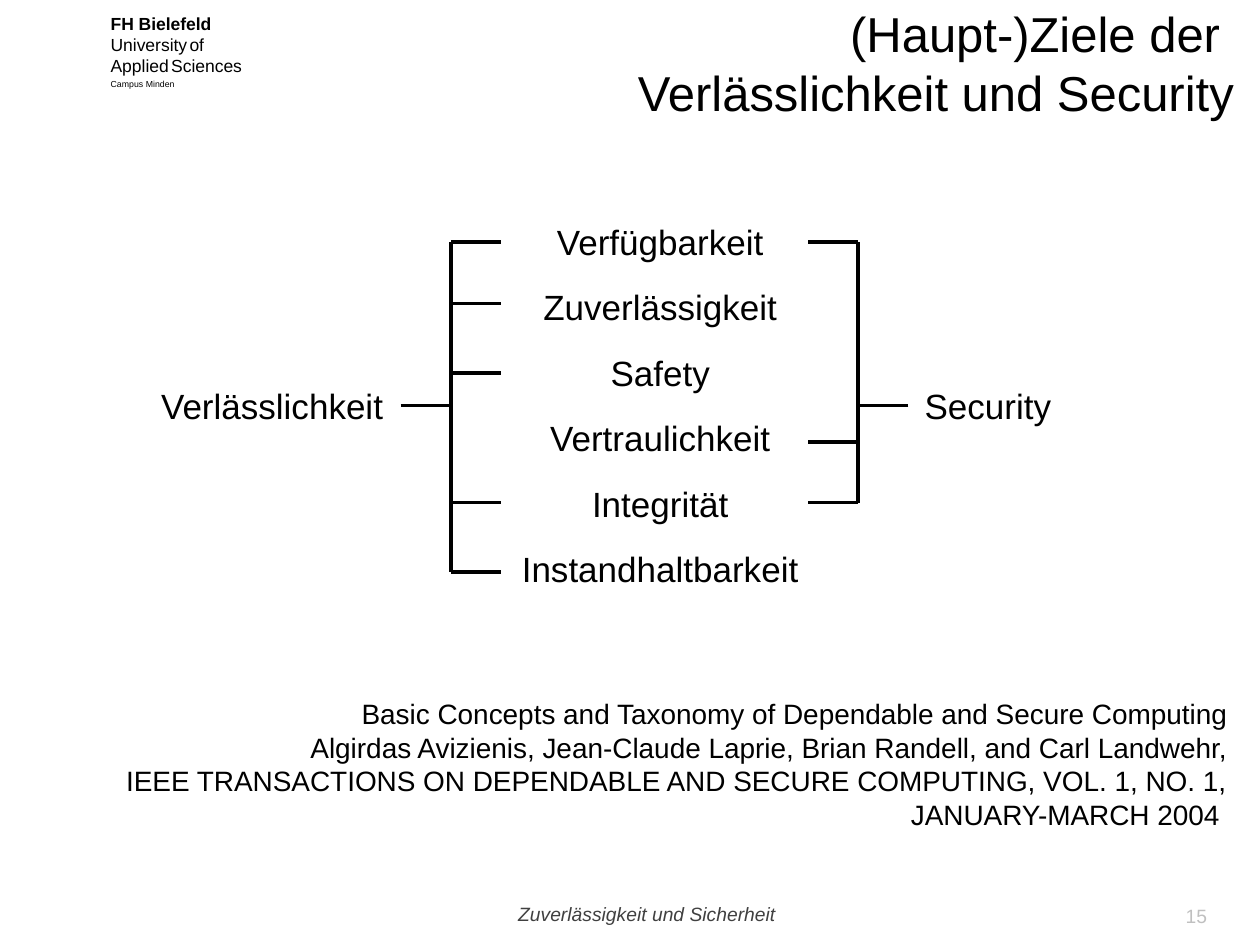
from lxml.etree import SubElement
from pptx import Presentation
from pptx.dml.color import RGBColor
from pptx.enum.shapes import MSO_CONNECTOR
from pptx.enum.text import MSO_ANCHOR, PP_ALIGN
from pptx.oxml.ns import qn
from pptx.util import Inches, Pt

BLACK = RGBColor(0x00, 0x00, 0x00)
DARK_GREY = RGBColor(0x40, 0x40, 0x40)
LIGHT_GREY = RGBColor(0xC0, 0xC0, 0xC0)
FONT = "Arial"

TITLE = "(Haupt-)Ziele der \nVerlässlichkeit und Security"
# A paragraph is a string or a list of (text, size, bold) runs.
HEADER = [
    [("FH Bielefeld", 10, True), ("\nUniversity", 10, False), (" ", 5, False),
     ("of\nApplied", 10, False), (" ", 5, False), ("Sciences", 10, False)],
    [("Campus Minden", 5, False)],
]
FOOTER = "Zuverlässigkeit und Sicherheit"
PAGE_NUMBER = "15"
REFERENCE = [
    "Basic Concepts and Taxonomy of Dependable and Secure Computing",
    "Algirdas Avizienis, Jean-Claude Laprie, Brian Randell, and Carl Landwehr,\n"
    "IEEE TRANSACTIONS ON DEPENDABLE AND SECURE COMPUTING, "
    "VOL. 1, NO. 1, JANUARY-MARCH 2004 ",
]
GOALS = ["Verfügbarkeit", "Zuverlässigkeit", "Safety",
         "Vertraulichkeit", "Integrität", "Instandhaltbarkeit"]
# Each concept: label left edge, bracket x, direction to its goals, branch heights
CONCEPTS = [
    ("Verlässlichkeit", 0.9, 3.58, 1, [1.92, 2.41, 2.96, 3.99, 4.54]),
    ("Security", 6.58, 6.81, -1, [1.92, 3.51, 3.99]),
]
LABEL_SIZE = (2.52, 0.44)
GOAL_LEFT, GOAL_TOP, GOAL_STEP = 3.98, 1.7, 0.52
CONCEPT_TOP, STEM_Y, BRANCH = 3, 3.22, 0.4


def write(frame, paragraphs, size=20, color=BLACK, italic=False,
          align=PP_ALIGN.LEFT, wrap=True, margins=(0.1, 0.05),
          anchor=MSO_ANCHOR.TOP, line_spacing=None, gap=0):
    frame.word_wrap = wrap
    frame.vertical_anchor = anchor
    frame.margin_left = frame.margin_right = Inches(margins[0])
    frame.margin_top = frame.margin_bottom = Inches(margins[1])
    for index, content in enumerate(paragraphs):
        paragraph = frame.paragraphs[0] if index == 0 else frame.add_paragraph()
        paragraph.alignment = align
        paragraph.line_spacing = line_spacing
        paragraph.space_before = Pt(gap if index else 0)
        runs = [(content, size, False)] if isinstance(content, str) else content
        for text, run_size, bold in runs:
            for part, line in enumerate(text.split("\n")):
                if part:
                    paragraph.add_line_break()
                if not line:
                    continue
                run = paragraph.add_run()
                run.text = line
                run.font.name = FONT
                run.font.size = Pt(run_size)
                run.font.bold = bold
                run.font.italic = italic
                run.font.color.rgb = color


def add_text(slide, box, paragraphs, **style):
    frame = slide.shapes.add_textbox(*map(Inches, box)).text_frame
    write(frame, paragraphs, **style)


def add_line(slide, x1, y1, x2, y2, width=2):
    line = slide.shapes.add_connector(
        MSO_CONNECTOR.STRAIGHT, *map(Inches, (x1, y1, x2, y2)))
    line.line.color.rgb = BLACK
    line.line.width = Pt(width)
    SubElement(line._element.spPr, qn("a:effectLst"))


def add_concept(slide, name, left, bracket_x, direction, branches):
    """Label one concept and bracket the goals that belong to it."""
    add_text(slide, (left, CONCEPT_TOP, *LABEL_SIZE), [name], align=PP_ALIGN.CENTER)
    add_line(slide, bracket_x, branches[0], bracket_x, branches[-1], width=2.5)
    for y in branches:
        add_line(slide, bracket_x, y, bracket_x + direction * BRANCH, y)
    add_line(slide, bracket_x - direction * BRANCH, STEM_Y, bracket_x, STEM_Y)


def main():
    presentation = Presentation()
    presentation.slide_width, presentation.slide_height = Inches(10), Inches(7.5)
    slide = presentation.slides.add_slide(presentation.slide_layouts[5])

    title = slide.shapes.title
    title.left, title.top = Inches(2.32), Inches(0.02)
    title.width, title.height = Inches(7.47), Inches(0.95)
    write(title.text_frame, [TITLE], size=28, align=PP_ALIGN.RIGHT,
          margins=(0, 0), anchor=MSO_ANCHOR.MIDDLE)

    add_text(slide, (0.78, 0.05, 1.4, 0.72), HEADER, gap=2)

    for row, goal in enumerate(GOALS):
        add_text(slide, (GOAL_LEFT, GOAL_TOP + row * GOAL_STEP, *LABEL_SIZE),
                 [goal], align=PP_ALIGN.CENTER)
    for concept in CONCEPTS:
        add_concept(slide, *concept)

    add_text(slide, (0.59, 5.48, 9.25, 1.17), REFERENCE, size=16, align=PP_ALIGN.RIGHT)
    add_text(slide, (4.11, 7.22, 2.05, 0.12), [FOOTER], size=11, color=DARK_GREY,
             italic=True, align=PP_ALIGN.CENTER, wrap=False, margins=(0, 0),
             line_spacing=0.63)
    add_text(slide, (9.41, 7.19, 0.7, 0.17), [PAGE_NUMBER], size=11,
             color=LIGHT_GREY, margins=(0, 0), line_spacing=0.93)

    presentation.save("out.pptx")


if __name__ == "__main__":
    main()
